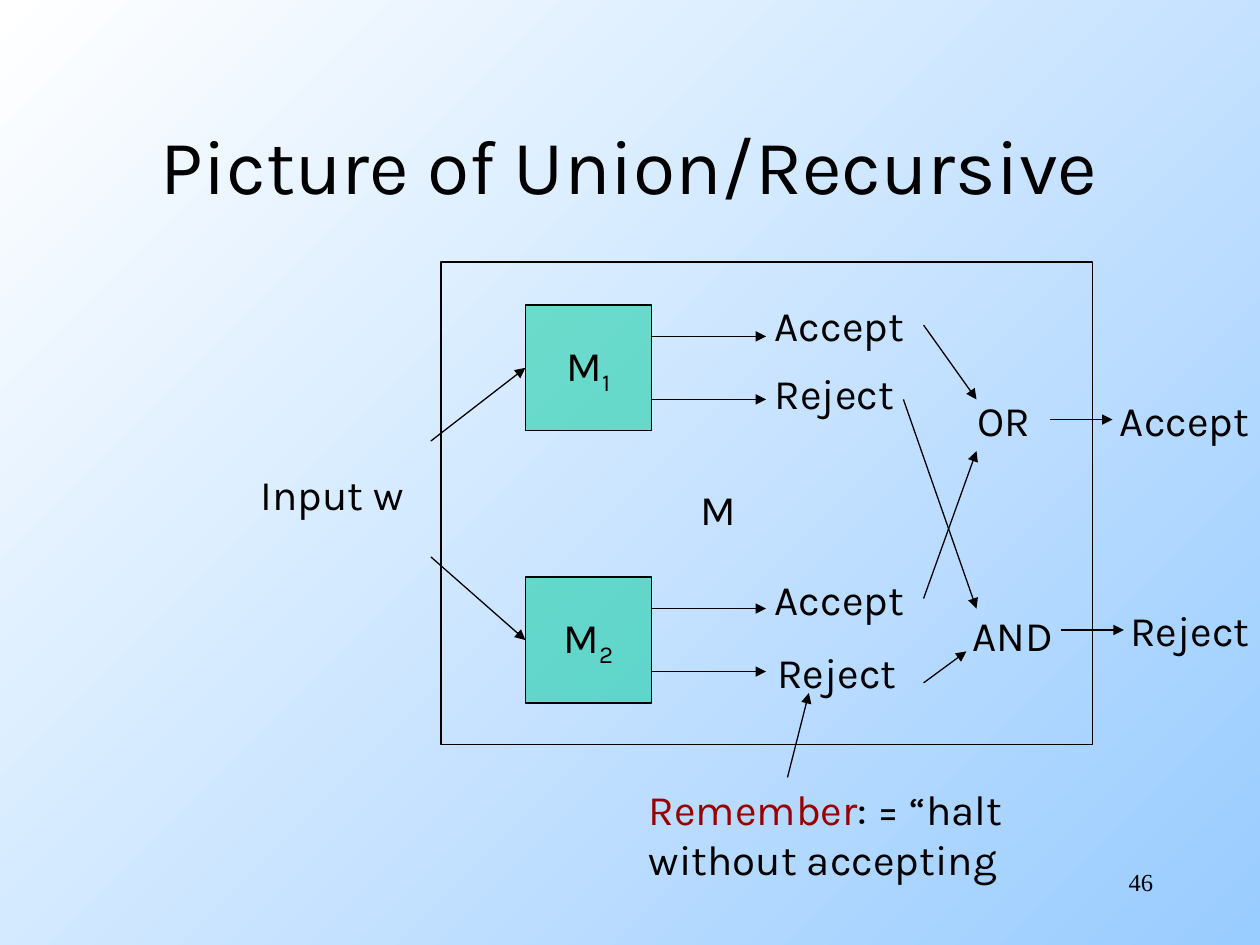
from pptx import Presentation
from pptx.dml.color import RGBColor
from pptx.enum.shapes import MSO_CONNECTOR, MSO_SHAPE
from pptx.enum.text import MSO_ANCHOR, MSO_AUTO_SIZE, PP_ALIGN
from pptx.oxml.ns import qn
from pptx.util import Inches, Pt
from lxml.etree import SubElement

THEME = {
    "font": "Karla", "number_font": "Times New Roman",
    "title": 44, "body": 24, "number": 14,
    "ink": "000000", "accent": "990000", "machine": "00CC99",
    "background": ("FFFFFF", "99CCFF"), "line": 0.75,
}

TITLE = "Picture of Union/Recursive"
PAGE_NUMBER = "46"
MACHINE_LEFT, MACHINE_SIZE = 4.17, 1
MACHINES = [("1", 2.42, (3.42, 3.5)), ("2", 4.58, (3.42, 4.42))]
OUTPUT_OFFSETS, OUTPUT_END = (0.25, 0.75), 6.08
FRAME = (3.5, 2.08, 5.17, 3.83)
LABELS = [
    ("Input w", 1.97, 3.67, 1.4),
    ("Accept", 6.05, 2.33, 1.24),
    ("Accept", 6.05, 4.5, 1.24),
    ("Reject", 6.05, 2.87, 1.15),
    ("Reject", 6.07, 5.08, 1.15),
    ("OR", 7.66, 3.08, 0.67),
    ("Reject", 8.87, 4.75, 1.15),
    ("Accept", 8.79, 3.08, 1.24),
    ("AND", 7.62, 4.79, 0.91),
    ("M", 5.46, 3.79, 0.5),
]
GATE_ARROWS = [
    ((7.33, 2.58), (7.75, 3.17)),
    ((8.33, 3.33), (8.83, 3.33)),
    ((7.33, 4.75), (7.75, 3.58)),
    ((7.17, 3.17), (7.75, 4.83)),
    ((7.33, 5.42), (7.67, 5.17)),
    ((8.42, 5), (8.92, 5)),
]
NOTE = [
    [("Remember", "accent"), (": = “halt", "ink")],
    [("without accepting", "ink")],
]
NOTE_BOX = (5.05, 6.17, 3.11, 0.9)
NOTE_ARROW = ((6.25, 6.17), (6.42, 5.5))


def color(name):
    return RGBColor.from_string(THEME[name])


def add_run(paragraph, text, size="body", tint="ink", font="font"):
    run = paragraph.add_run()
    run.text = text
    run.font.name = THEME[font]
    run.font.size = Pt(THEME[size])
    run.font.color.rgb = color(tint)
    return run


def add_text(shapes, box, lines, align=PP_ALIGN.LEFT, anchor=MSO_ANCHOR.TOP,
             wrap=True, grow=False, **style):
    shape = shapes.add_textbox(*map(Inches, box))
    frame = shape.text_frame
    frame.word_wrap = wrap
    frame.auto_size = MSO_AUTO_SIZE.SHAPE_TO_FIT_TEXT if grow else MSO_AUTO_SIZE.NONE
    frame.vertical_anchor = anchor
    for index, line in enumerate(lines):
        paragraph = frame.add_paragraph() if index else frame.paragraphs[0]
        paragraph.alignment = align
        for text, tint in line:
            add_run(paragraph, text, tint=tint, **style)


def add_rectangle(shapes, box):
    shape = shapes.add_shape(MSO_SHAPE.RECTANGLE, *map(Inches, box))
    shape.shadow.inherit = False
    shape.fill.background()
    shape.line.color.rgb = color("ink")
    shape.line.width = Pt(THEME["line"])
    return shape


def add_machine(shapes, number, top):
    shape = add_rectangle(shapes, (MACHINE_LEFT, top, MACHINE_SIZE, MACHINE_SIZE))
    shape.fill.solid()
    shape.fill.fore_color.rgb = color("machine")
    fill_color = shape._element.spPr.find(qn("a:solidFill")).find(qn("a:srgbClr"))
    SubElement(fill_color, qn("a:alpha"), val="50000")
    frame = shape.text_frame
    frame.word_wrap = False
    frame.vertical_anchor = MSO_ANCHOR.MIDDLE
    paragraph = frame.paragraphs[0]
    paragraph.alignment = PP_ALIGN.CENTER
    add_run(paragraph, "M")
    subscript = add_run(paragraph, number)
    subscript._r.get_or_add_rPr().set("baseline", "-25000")
    return shape


def add_arrow(shapes, start, end):
    arrow = shapes.add_connector(MSO_CONNECTOR.STRAIGHT, *map(Inches, start + end))
    arrow.line.color.rgb = color("ink")
    arrow.line.width = Pt(THEME["line"])
    SubElement(arrow.line._get_or_add_ln(), qn("a:tailEnd"), type="triangle")
    SubElement(arrow._element.spPr, qn("a:effectLst"))
    return arrow


def main():
    presentation = Presentation()
    presentation.slide_width, presentation.slide_height = Inches(10), Inches(7.5)
    slide = presentation.slides.add_slide(presentation.slide_layouts[6])
    shapes = slide.shapes

    background = slide.background.fill
    background.gradient()
    background.gradient_angle = 315
    for stop, tint, position in zip(background.gradient_stops, THEME["background"], (0, 1)):
        stop.color.rgb = RGBColor.from_string(tint)
        stop.position = position

    add_text(shapes, (7.17, 6.83, 2.08, 0.5), [[(PAGE_NUMBER, "ink")]],
             PP_ALIGN.RIGHT, size="number", font="number_font")
    add_text(shapes, (0.75, 0.67, 8.5, 1.25), [[(TITLE, "ink")]],
             PP_ALIGN.CENTER, MSO_ANCHOR.MIDDLE, size="title")

    for number, top, input_start in MACHINES:
        machine = add_machine(shapes, number, top)
        input_end = (MACHINE_LEFT, top + MACHINE_SIZE / 2)
        add_arrow(shapes, input_start, input_end).end_connect(machine, 1)
        for offset in OUTPUT_OFFSETS:
            y = top + offset
            add_arrow(shapes, (MACHINE_LEFT + MACHINE_SIZE, y), (OUTPUT_END, y))

    for text, left, top, width in LABELS:
        add_text(shapes, (left, top, width, 0.5), [[(text, "ink")]], wrap=False, grow=True)
    for start, end in GATE_ARROWS:
        add_arrow(shapes, start, end)
    add_rectangle(shapes, FRAME)

    note = shapes.add_group_shape()
    add_text(note.shapes, NOTE_BOX, NOTE, grow=True)
    add_arrow(note.shapes, *NOTE_ARROW)

    presentation.save("out.pptx")


if __name__ == "__main__":
    main()
